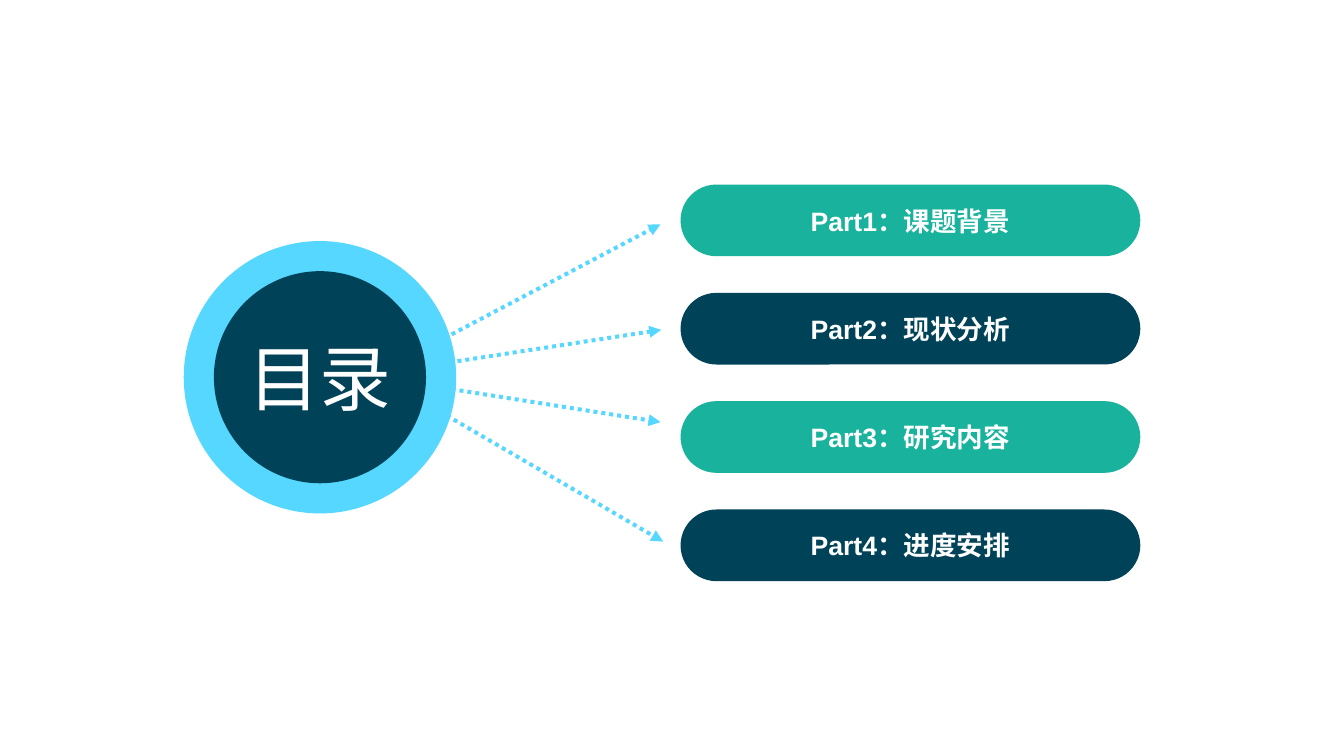
from lxml.etree import SubElement
from pptx import Presentation
from pptx.dml.color import RGBColor
from pptx.enum.dml import MSO_LINE_DASH_STYLE as Dash
from pptx.enum.shapes import MSO_CONNECTOR as Connector, MSO_SHAPE as Shape
from pptx.enum.text import MSO_ANCHOR as Anchor, PP_ALIGN as Align
from pptx.oxml.ns import qn
from pptx.util import Pt

COLORS = {"sky": "56D7FF", "navy": "004358", "teal": "18B29D", "white": "FFFFFF"}
TITLE = "目录"
PARTS = [
    ("Part1：课题背景", "teal"),
    ("Part2：现状分析", "navy"),
    ("Part3：研究内容", "teal"),
    ("Part4：进度安排", "navy"),
]
ARROWS = [
    ((303, 271.5), (497.5, 169)),
    ((303, 278.5), (498, 248.5)),
    ((310.5, 288.5), (497.5, 318)),
    ((321, 304), (499.5, 408)),
]
SLIDE_WIDTH, SLIDE_HEIGHT = 1012.32, 569.52
CENTER_X, CENTER_Y = 241, 284.2
RING_SIZE, DISC_SIZE = 205.2, 159.8
BAR_LEFT, BAR_TOP, BAR_WIDTH, BAR_HEIGHT, BAR_STEP = 512.6, 139, 346.3, 54, 81.6


def color(name):
    return RGBColor.from_string(COLORS[name])


def add_filled(slide, kind, left, top, width, height, fill):
    shape = slide.shapes.add_shape(kind, Pt(left), Pt(top), Pt(width), Pt(height))
    shape.shadow.inherit = False
    shape.fill.solid()
    shape.fill.fore_color.rgb = color(fill)
    shape.line.fill.background()
    return shape


def add_circle(slide, size, fill):
    return add_filled(slide, Shape.OVAL, CENTER_X - size / 2, CENTER_Y - size / 2, size, size, fill)


def write_text(shape, text, size, bold=False, fill="white", font_name="Arial"):
    frame = shape.text_frame
    frame.margin_left = frame.margin_top = frame.margin_right = frame.margin_bottom = 0
    frame.word_wrap = True
    frame.vertical_anchor = Anchor.MIDDLE
    paragraph = frame.paragraphs[0]
    paragraph.alignment = Align.CENTER
    run = paragraph.add_run()
    run.text = text
    run.font.name = font_name
    run.font.size = Pt(size)
    run.font.bold = bold
    run.font.color.rgb = color(fill)


def add_arrow(slide, start, end):
    points = [Pt(value) for value in (*start, *end)]
    arrow = slide.shapes.add_connector(Connector.STRAIGHT, *points)
    arrow.line.color.rgb = color("sky")
    arrow.line.width = Pt(3)
    arrow.line.dash_style = Dash.ROUND_DOT
    SubElement(arrow.line._get_or_add_ln(), qn("a:tailEnd"), type="triangle")
    SubElement(arrow._element.spPr, qn("a:effectLst"))


def main():
    presentation = Presentation()
    presentation.slide_width = Pt(SLIDE_WIDTH)
    presentation.slide_height = Pt(SLIDE_HEIGHT)
    slide = presentation.slides.add_slide(presentation.slide_layouts[6])

    for start, end in ARROWS:
        add_arrow(slide, start, end)

    for index, (label, fill) in enumerate(PARTS):
        top = BAR_TOP + index * BAR_STEP
        bar = add_filled(slide, Shape.ROUNDED_RECTANGLE, BAR_LEFT, top, BAR_WIDTH, BAR_HEIGHT, fill)
        bar.adjustments[0] = 0.5
        write_text(bar, label, size=20, bold=True)

    add_circle(slide, RING_SIZE, "sky")
    write_text(add_circle(slide, DISC_SIZE, "navy"), TITLE, size=54)

    presentation.save("out.pptx")


if __name__ == "__main__":
    main()
